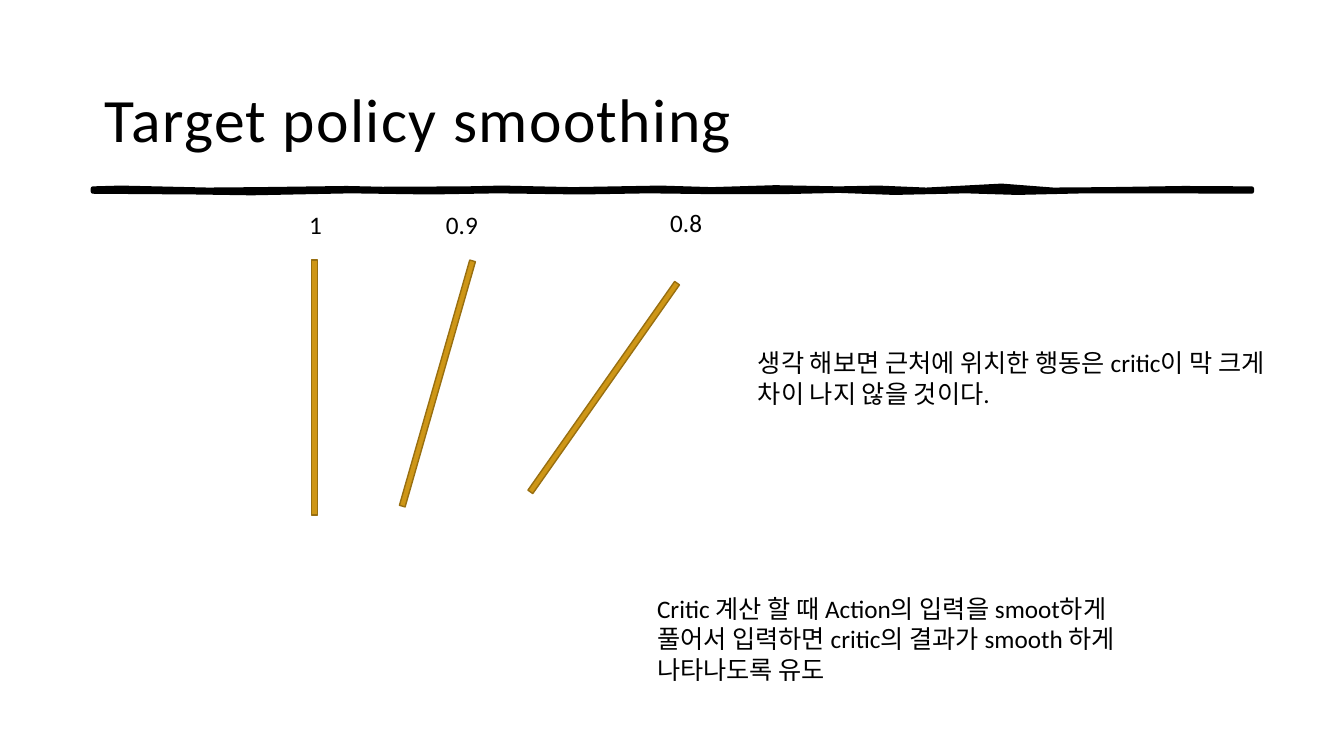
from pptx import Presentation
from pptx.dml.color import RGBColor
from pptx.enum.shapes import MSO_SHAPE
from pptx.enum.text import MSO_ANCHOR, MSO_AUTO_SIZE, PP_ALIGN
from pptx.util import Cm, Pt

BLACK = RGBColor(0x00, 0x00, 0x00)
GOLD = RGBColor(0xCE, 0x96, 0x16)
DARK_GOLD = RGBColor(0x98, 0x6F, 0x10)
RECTANGLE = MSO_SHAPE.RECTANGLE
MIDDLE = MSO_ANCHOR.MIDDLE
NO_AUTOFIT = MSO_AUTO_SIZE.NONE
GROW = MSO_AUTO_SIZE.SHAPE_TO_FIT_TEXT
LEFT = PP_ALIGN.LEFT
FONT = "Calibri"
TITLE_ONLY = 5

UPPER_EDGE = [(0, 0), (0.7, -0.02), (1.6, 0), (2.9, 0.03), (4.2, 0.02),
              (6.4, -0.01), (7.3, 0.01), (9.4, 0), (10.3, -0.02), (12.1, 0.02),
              (14.3, -0.02), (15.6, 0.02), (17.2, -0.03), (18.8, 0),
              (19.8, -0.02), (21, 0.03), (22.9, -0.07), (24.2, 0.03),
              (25.6, 0.02), (27.5, -0.01), (29.21, 0)]
LOWER_EDGE = [(29.21, 0.08), (27, 0.07), (25, 0.07), (23.3, 0.11),
              (22, 0.07), (20.2, 0.11), (18.8, 0.06), (17.4, 0.09),
              (15.6, 0.09), (14, 0.07), (12.3, 0.1), (10.2, 0.07),
              (8.5, 0.1), (6.5, 0.07), (4, 0.12), (2.6, 0.1), (0, 0.08)]
POLES = [
    ("1", 0, 0.05, 0.31, 1.44, 0),
    ("0.9", 3.45, 0.05, 3.41, 1.34, 16),
    ("0.8", 9.1, 0, 7.6, 1.44, 35.1),
]
NOTES = [
    ("생각 해보면 근처에 위치한 행동은 critic이 막 크게 차이 나지 않을 것이다.",
     (18.85, 8.64, 13.46, 1.8)),
    ("Critic 계산 할 때 Action의 입력을 smoot하게 풀어서 입력하면 "
     "critic의 결과가 smooth 하게 나타나도록 유도",
     (16.31, 14.83, 12.29, 2.57)),
]


def format_span(span, size):
    span.font.name = FONT
    span.font.size = Pt(size)
    span.font.color.rgb = BLACK


def draw_title(slide, box, text):
    title = slide.shapes.title
    title.left, title.top, title.width, title.height = map(Cm, box)
    frame = title.text_frame
    frame.text = text
    frame.auto_size = NO_AUTOFIT
    frame.vertical_anchor = MIDDLE
    frame.margin_left = frame.margin_right = frame.margin_top = Cm(0.3)
    frame.margin_bottom = Cm(0.25)
    para = frame.paragraphs[0]
    para.alignment = LEFT
    para.line_spacing = 1.1
    span = para.runs[0]
    format_span(span, 44)
    span.font._element.set("spc", "100")


def draw_brush_line(slide, left, top):
    points = [(Cm(left + x), Cm(top + y)) for x, y in UPPER_EDGE + LOWER_EDGE]
    builder = slide.shapes.build_freeform(*points[0])
    builder.add_line_segments(points[1:], close=True)
    stroke = builder.convert_to_shape()
    stroke.shadow.inherit = False
    stroke.fill.solid()
    stroke.fill.fore_color.rgb = BLACK
    stroke.line.color.rgb = BLACK
    stroke.line.width = Pt(3)


def draw_note(slide, box, text):
    note = slide.shapes.add_textbox(*map(Cm, box))
    frame = note.text_frame
    frame.word_wrap = True
    frame.auto_size = GROW
    frame.text = text
    format_span(frame.paragraphs[0].runs[0], 18)


def draw_poles(slide, left, top):
    for label, label_x, label_y, pole_x, pole_y, angle in POLES:
        pole = slide.shapes.add_shape(
            RECTANGLE, Cm(left + pole_x), Cm(top + pole_y), Cm(0.15), Cm(6.43))
        pole.rotation = angle
        pole.shadow.inherit = False
        pole.fill.solid()
        pole.fill.fore_color.rgb = GOLD
        pole.line.color.rgb = DARK_GOLD
        pole.line.width = Pt(1)
        draw_note(slide, (left + label_x, top + label_y, 2.54, 1.02), label)


def main():
    deck = Presentation()
    deck.slide_width, deck.slide_height = Cm(33.87), Cm(19.05)
    slide = deck.slides.add_slide(deck.slide_layouts[TITLE_ONLY])
    draw_brush_line(slide, 2.34, 4.75)
    draw_title(slide, (2.34, 1.02, 29.21, 3.68), "Target policy smoothing")
    draw_poles(slide, 7.54, 5.11)
    for text, box in NOTES:
        draw_note(slide, box, text)
    deck.save("out.pptx")


if __name__ == "__main__":
    main()
